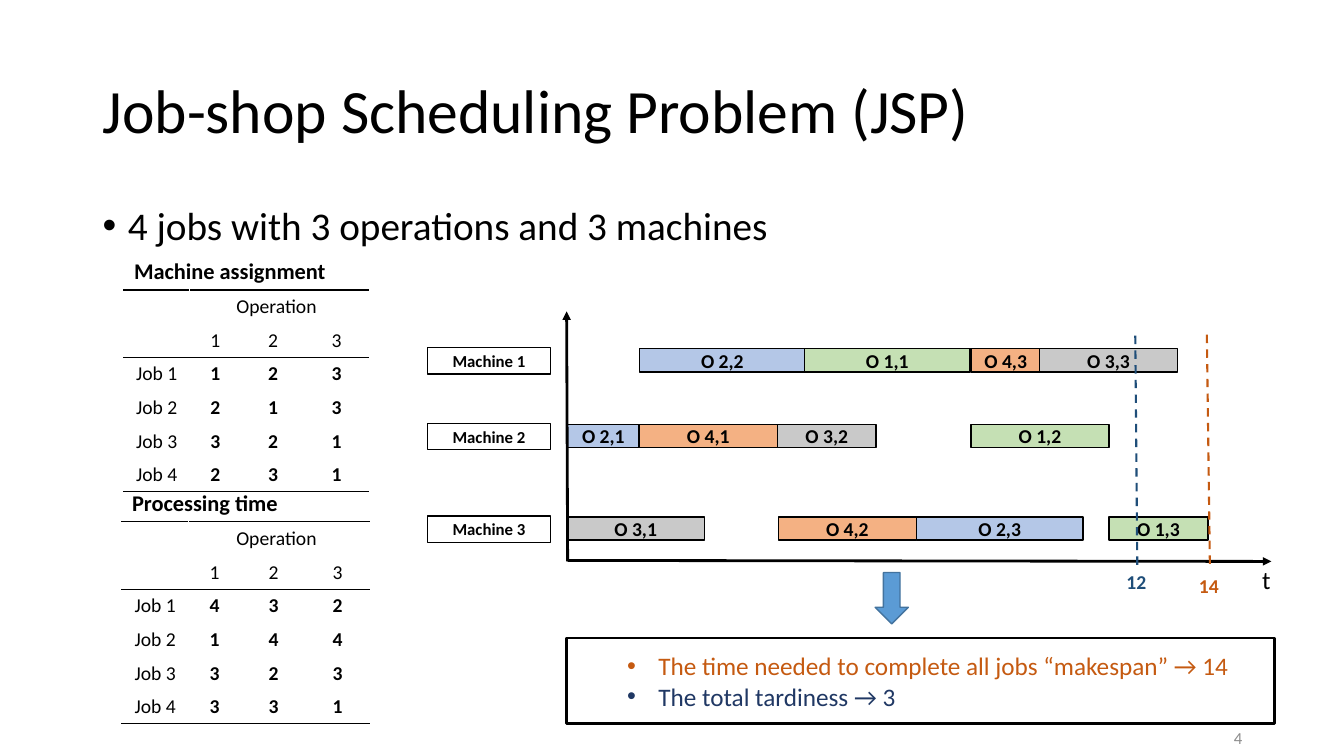
from lxml.etree import SubElement as Sub
from pptx import Presentation
from pptx.dml.color import RGBColor as RGB
from pptx.enum.dml import MSO_LINE as Dash
from pptx.enum.shapes import MSO_CONNECTOR as Conn, MSO_SHAPE as Shape
from pptx.enum.text import MSO_ANCHOR as Anchor, PP_ALIGN as Align
from pptx.oxml.ns import qn
from pptx.util import Pt

TITLE = "Job-shop Scheduling Problem (JSP)"
LEAD = "4 jobs with 3 operations and 3 machines"
PAGE = "4"
TABLES = [
    ("Processing time", 121, 481, (66, 52, 65, 62), 29,
     [(4, 3, 2), (1, 4, 4), (3, 2, 3), (3, 3, 1)]),
    ("Machine assignment", 123, 251, (65, 51, 64, 62), 32,
     [(1, 2, 3), (2, 1, 3), (3, 2, 1), (2, 3, 1)]),
]
ROWS = [
    ("Machine 1", 346, [("2,2", 634, 165), ("1,1", 798, 164),
                        ("4,3", 963, 69), ("3,3", 1031, 137)]),
    ("Machine 2", 421, [("2,1", 563, 71), ("4,1", 634, 137),
                        ("3,2", 771, 98), ("1,2", 963, 137)]),
    ("Machine 3", 513, [("3,1", 562, 137), ("4,2", 772, 137),
                        ("2,3", 909, 165), ("1,3", 1100, 98)]),
]
AXES = [(563, 557, 562, 309), (563, 556, 1261, 557)]
MARKS = [("14", "late", 1179, 564, (1197, 332, 1200, 562)),
         ("12", "due", 1107, 561, (1126, 333, 1128, 562))]
NOTES = [("The time needed to complete all jobs “makespan” → 14", "late"),
         ("The total tardiness → 3", "navy")]

THEME = {
    "font": "Calibri",
    "ink": "000000", "paper": "FFFFFF", "late": "C55A11", "due": "1F4E79",
    "navy": "203864", "dim": "8C8C8C", "arrow": "5B9BD5", "edge": "43739E",
    "jobs": {"1": "C5E0B4", "2": "B4C7E7", "3": "C9C9C9", "4": "F4B183"},
    "size": {"title": 44, "lead": 28, "note": 18, "head": 16, "cell": 14,
             "small": 12},
}
PX = 9144
BAR_H, TAG_H = 23, 26


def px(*vals):
    return [v * PX for v in vals]


def tint(name):
    return RGB.from_string(THEME.get(name, name))


def style(para, size, color="ink", bold=False, align=Align.LEFT):
    font = para.font
    font.name, font.bold = THEME["font"], bold
    font.size = Pt(THEME["size"][size])
    font.color.rgb = tint(color)
    para.alignment = align


def bullet(para, gap):
    props = para._p.get_or_add_pPr()
    props.set("marL", str(gap * PX))
    props.set("indent", str(-gap * PX))
    Sub(props, qn("a:buFont"), typeface="Arial")
    Sub(props, qn("a:buChar"), char="•")


def text(slide, box, words, size, wrap=True, anchor=Anchor.TOP, **look):
    frame = slide.shapes.add_textbox(*px(*box)).text_frame
    frame.word_wrap, frame.vertical_anchor = wrap, anchor
    para = frame.paragraphs[0]
    para.text = words
    style(para, size, **look)
    return para


def block(slide, box, fill=None, edge="ink", width=1, kind=Shape.RECTANGLE):
    shape = slide.shapes.add_shape(kind, *px(*box))
    shape.shadow.inherit = False
    if fill:
        shape.fill.solid()
        shape.fill.fore_color.rgb = tint(fill)
    else:
        shape.fill.background()
    shape.line.color.rgb = tint(edge)
    shape.line.width = Pt(width)
    shape.text_frame.vertical_anchor = Anchor.MIDDLE
    return shape


def label(shape, words, size):
    para = shape.text_frame.paragraphs[0]
    para.text = words
    style(para, size, bold=True, align=Align.CENTER)


def line(slide, ends, color, width, dash=None, head=False):
    link = slide.shapes.add_connector(Conn.STRAIGHT, *px(*ends))
    link.line.color.rgb = tint(color)
    link.line.width = Pt(width)
    if dash:
        link.line.dash_style = dash
    if head:
        Sub(link.line._ln, qn("a:tailEnd"), type="triangle")
    Sub(link._element.spPr, qn("a:effectLst"))


def border(cell, top, base):
    props = cell._tc.get_or_add_tcPr()
    sides = {"lnL": "paper", "lnR": "paper", "lnT": top, "lnB": base}
    for place, (side, color) in enumerate(sides.items()):
        edge = Sub(props, qn("a:" + side), w=str(Pt(1)))
        fill = Sub(edge, qn("a:solidFill"))
        Sub(fill, qn("a:srgbClr"), val=THEME[color])
        props.insert(place, edge)


def table(slide, name, left, top, cols, step, data):
    body = [[name, "", "", ""], ["", "Operation ", "", ""], ["", 1, 2, 3]]
    body += [[f"Job {n}", *vals] for n, vals in enumerate(data, 1)]
    tall = [35] + [step] * (len(body) - 1)
    box = px(left, top, sum(cols), sum(tall))
    grid = slide.shapes.add_table(len(body), len(cols), *box).table
    grid.first_row = grid.horz_banding = False
    for col, wide in zip(grid.columns, cols):
        col.width = wide * PX
    rules = {0, 2, len(body) - 1}
    for r, vals in enumerate(body):
        grid.rows[r].height = tall[r] * PX
        for c, val in enumerate(vals):
            cell = grid.cell(r, c)
            cell.fill.background()
            border(cell, "ink" if r - 1 in rules else "paper",
                   "ink" if r in rules else "paper")
            para = cell.text_frame.paragraphs[0]
            para.text = str(val)
            if r:
                style(para, "cell", bold=r > 2 and c > 0, align=Align.CENTER)
            else:
                style(para, "head", bold=True)
    grid.cell(0, 0).merge(grid.cell(0, 3))
    grid.cell(1, 1).merge(grid.cell(1, 3))


def chart(slide):
    for name, top, bars in ROWS:
        label(block(slide, (424, top - 1, 122, TAG_H)), name, "small")
        for op, left, wide in bars:
            bar = block(slide, (left, top, wide, BAR_H), THEME["jobs"][op[0]])
            label(bar, f"O {op}", "cell")
    for ends in AXES:
        line(slide, ends, "ink", 2, head=True)
    for words, color, left, top, ends in MARKS:
        line(slide, ends, color, 1.5, dash=Dash.DASH)
        text(slide, (left, top, 40, 34), words, "cell", wrap=False,
             color=color, bold=True, align=Align.CENTER)
    text(slide, (1242, 555, 22, 40), "t", "note", wrap=False,
         align=Align.CENTER)


def notes(slide):
    block(slide, (868, 568, 33, 51), "arrow", "edge", kind=Shape.DOWN_ARROW)
    frame = block(slide, (562, 633, 702, 85), width=2).text_frame
    frame.margin_left = 60 * PX
    for n, (words, color) in enumerate(NOTES):
        para = frame.add_paragraph() if n else frame.paragraphs[0]
        para.text = words
        style(para, "note", color)
        bullet(para, 31)


def main():
    deck = Presentation()
    deck.slide_width, deck.slide_height = px(1333, 750)
    slide = deck.slides.add_slide(deck.slide_layouts[6])
    title = text(slide, (92, 40, 1150, 145), TITLE, "title",
                 anchor=Anchor.MIDDLE)
    title.line_spacing = 0.9
    lead = text(slide, (92, 200, 1150, 476), LEAD, "lead")
    lead.line_spacing, lead.space_before = 0.9, Pt(10)
    bullet(lead, 25)
    for spec in TABLES:
        table(slide, *spec)
    chart(slide)
    notes(slide)
    text(slide, (942, 712, 300, 40), PAGE, "small", anchor=Anchor.MIDDLE,
         color="dim", align=Align.RIGHT)
    deck.save("out.pptx")


if __name__ == "__main__":
    main()
